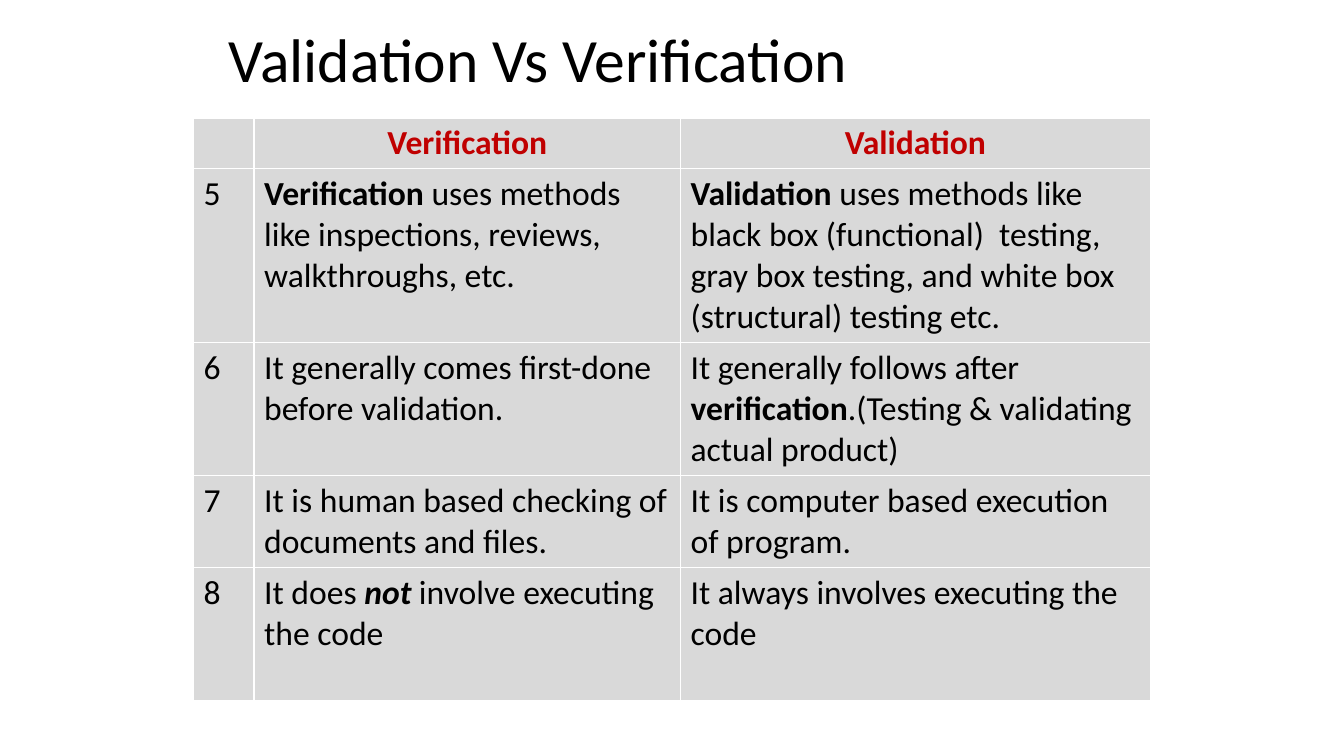
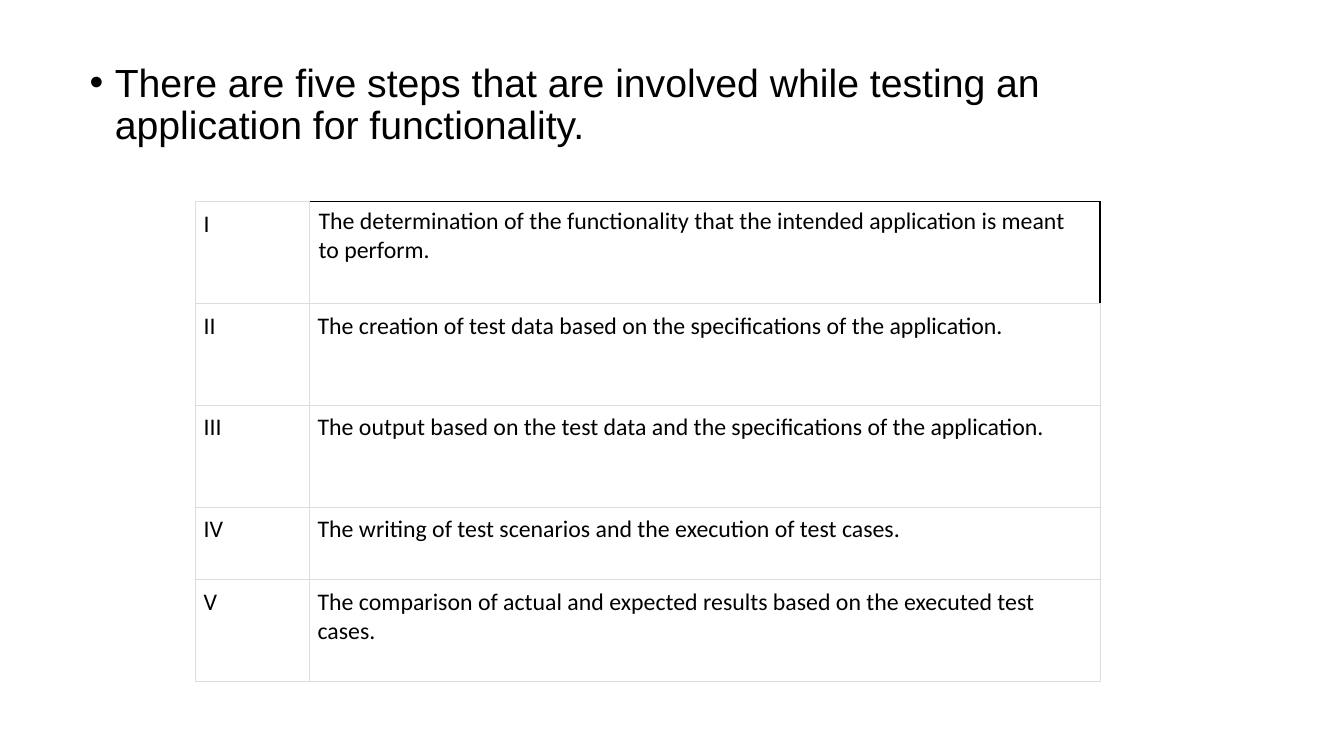
from lxml import etree
from pptx import Presentation
from pptx.dml.color import RGBColor
from pptx.enum.text import MSO_ANCHOR as ANCHOR, PP_ALIGN as ALIGN
from pptx.oxml.ns import qn
from pptx.util import Inches, Pt

BLACK = RGBColor(0x00, 0x00, 0x00)
WHITE = RGBColor(0xFF, 0xFF, 0xFF)
RED = RGBColor(0xC0, 0x00, 0x00)
GREY = RGBColor(0xD9, 0xD9, 0xD9)
LIGHT = RGBColor(0xDD, 0xDD, 0xDD)
BOLD = {"bold": True}
BOLD_ITALIC = {"bold": True, "italic": True}
HEAD = {"bold": True, "color": RED}

COMPARISON = [
    ("", [("Verification", HEAD)], [("Validation", HEAD)]),
    ("5",
     [("Verification", BOLD),
      (" uses methods like inspections, reviews, walkthroughs, etc.", {})],
     [("Validation", BOLD),
      (" uses methods like black box (functional)  testing, gray box testing, "
       "and white box (structural) testing etc.", {})]),
    ("6",
     "It generally comes first-done before validation.",
     [("It generally follows after ", {}), ("verification", BOLD),
      (".(Testing & validating actual product)", {})]),
    ("7",
     "It is human based checking of documents and files.",
     "It is computer based execution of program."),
    ("8",
     [("It does ", {}), ("not", BOLD_ITALIC),
      (" involve executing the code", {})],
     "It always involves executing the code"),
]

STEPS = [
    ("I", "The determination of the functionality that the intended "
          "application is meant to perform."),
    ("II", "The creation of test data based on the specifications of the application."),
    ("III", "The output based on the test data and the specifications of the application."),
    ("IV", "The writing of test scenarios and the execution of test cases."),
    ("V", "The comparison of actual and expected results based on the "
          "executed test cases."),
]


class Deck:
    """Holds the shared style and the current slide."""

    base = {"name": "Calibri", "bold": False, "italic": False, "color": BLACK}

    def __init__(self):
        self.prs = Presentation()
        self.prs.slide_width = Inches(13.33)
        self.prs.slide_height = Inches(7.5)
        self.s = None

    def add_slide(self):
        self.s = self.prs.slides.add_slide(self.prs.slide_layouts[6])

    def add_runs(self, p, content, **fmt):
        runs = [(content, {})] if isinstance(content, str) else content
        for text, extra in runs:
            r = p.add_run()
            r.text = text
            for key, value in {**self.base, **fmt, **extra}.items():
                if key == "color":
                    r.font.color.rgb = value
                else:
                    setattr(r.font, key, value)

    def text(self, box, content, anchor, **fmt):
        sp = self.s.shapes.add_textbox(*map(Inches, box))
        tf = sp.text_frame
        tf.word_wrap = True
        tf.vertical_anchor = anchor
        p = tf.paragraphs[0]
        p.line_spacing = 0.9
        self.add_runs(p, content, **fmt)
        return p

    def title(self, box, content):
        self.text(box, content, ANCHOR.MIDDLE, size=Pt(44))

    def bullet(self, box, content):
        p = self.text(box, content, ANCHOR.TOP, size=Pt(28), name="Arial")
        p.space_before = Pt(10)
        pPr = p._p.get_or_add_pPr()
        pPr.set("marL", str(Inches(0.25)))
        pPr.set("indent", str(-Inches(0.25)))
        font = etree.SubElement(pPr, qn("a:buFont"))
        font.set("typeface", "Arial")
        etree.SubElement(pPr, qn("a:buChar")).set("char", "•")

    def margins(self, cell, x, y):
        cell.margin_left = cell.margin_right = Inches(x)
        cell.margin_top = cell.margin_bottom = Inches(y)

    def borders(self, cell, color, width, sides="LRTB"):
        tcPr = cell._tc.get_or_add_tcPr()
        for side in sides:
            tag = qn(f"a:ln{side}")
            ln = tcPr.find(tag)
            if ln is None:
                ln = etree.SubElement(tcPr, tag)
            for child in list(ln):
                ln.remove(child)
            ln.set("w", str(Pt(width)))
            fill = etree.SubElement(ln, qn("a:solidFill"))
            etree.SubElement(fill, qn("a:srgbClr")).set("val", str(color))

    def table(self, at, cols, rows, data, size, line, inset, fill=None):
        box = (*at, sum(cols), sum(rows))
        table = self.s.shapes.add_table(len(rows), len(cols), *map(Inches, box)).table
        table.first_row = table.horz_banding = False
        for col, width in zip(table.columns, cols):
            col.width = Inches(width)
        for row, height, contents in zip(table.rows, rows, data):
            row.height = Inches(height)
            for cell, content in zip(row.cells, contents):
                self.margins(cell, *inset)
                self.borders(cell, *line)
                if fill is None:
                    cell.fill.background()
                else:
                    cell.fill.solid()
                    cell.fill.fore_color.rgb = fill
                if content:
                    self.add_runs(cell.text_frame.paragraphs[0], content, size=Pt(size))
        return table


def main():
    deck = Deck()

    deck.add_slide()
    deck.title((2.17, 0, 9, 1.25), "Validation Vs Verification")
    table = deck.table((1.92, 1.17), (0.6, 4.23, 4.66), (0.5, 1.73, 1.32, 0.91, 1.32),
                       COMPARISON, 24, (WHITE, 1), (0.1, 0.05), GREY)
    for cell in table.rows[0].cells:
        cell.text_frame.paragraphs[0].alignment = ALIGN.CENTER

    deck.add_slide()
    deck.bullet((0.79, 0.58, 11.5, 1), "There are five steps that are involved while "
                "testing an application for functionality.")
    table = deck.table((1.94, 2), (1.13, 7.84), (1.01, 1.01, 1.01, 0.72, 1.01),
                       STEPS, 17, (LIGHT, 0.75), (0.08, 0.08))
    cell = table.cell(0, 1)
    deck.margins(cell, 0.09, 0.05)
    deck.borders(cell, BLACK, 1, "RT")

    deck.prs.save("out.pptx")


if __name__ == "__main__":
    main()
